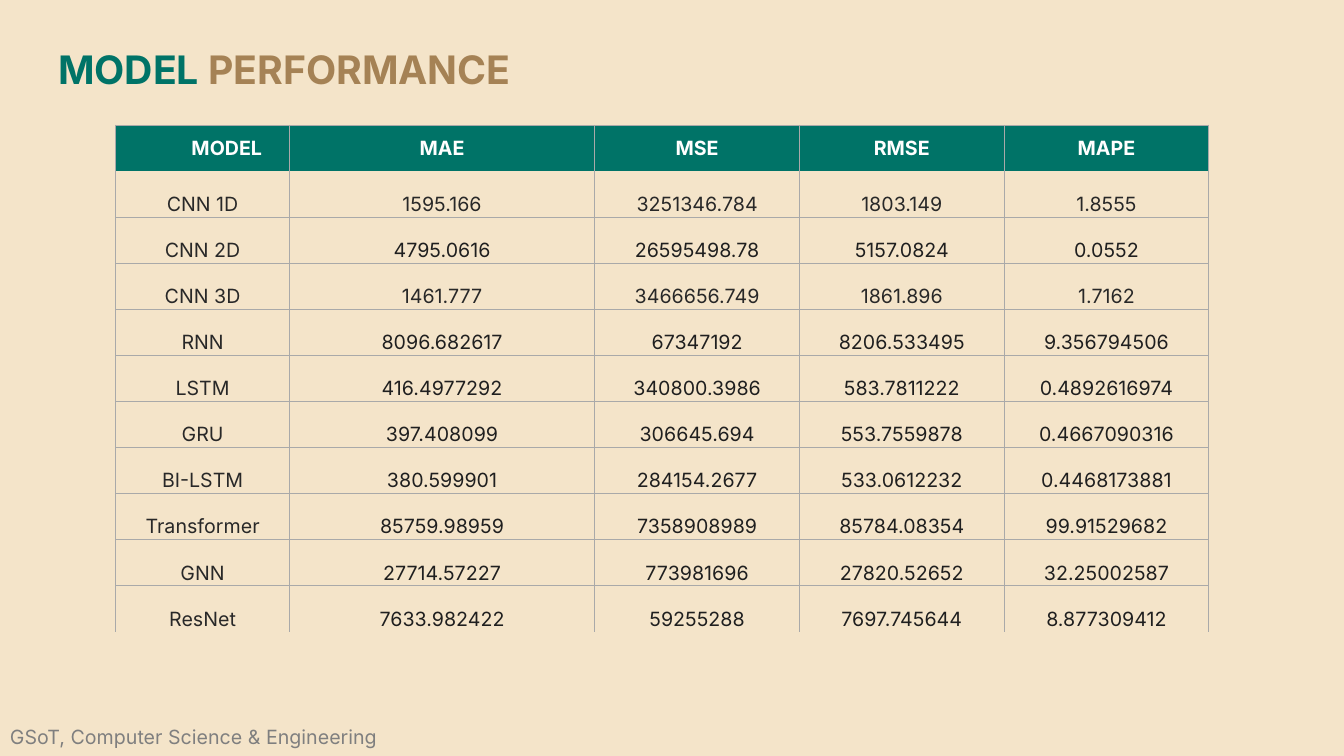
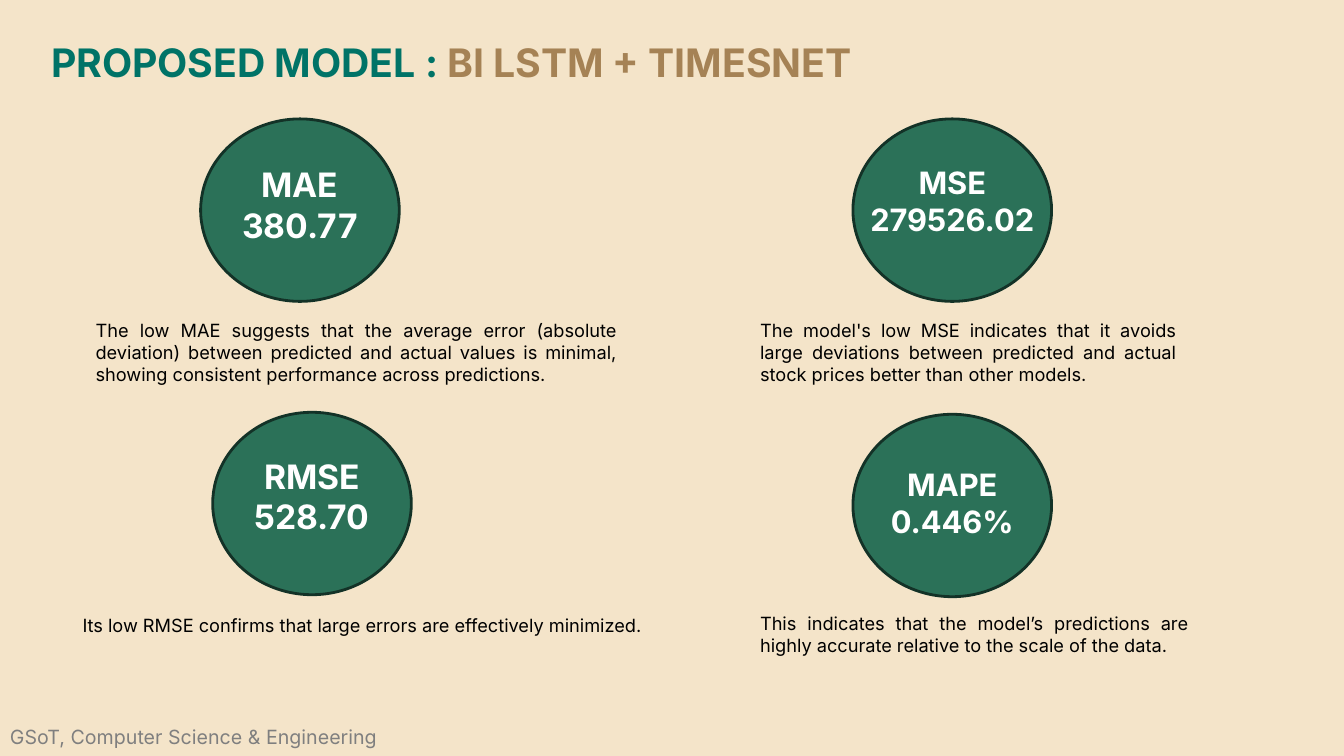
"""Builds two slides: a table of model scores and the proposed model's four metrics."""
from lxml.etree import SubElement
from pptx import Presentation
from pptx.dml.color import RGBColor
from pptx.enum.shapes import MSO_SHAPE
from pptx.enum.text import MSO_ANCHOR, MSO_AUTO_SIZE, PP_ALIGN
from pptx.oxml.ns import qn
from pptx.util import Inches, Pt

FONT = "Inter"
COLORS = {
    "paper": "F4E4C9", "green": "007367", "tan": "A58255", "white": "FFFFFF",
    "ink": "282828", "deep": "1F1F1F", "black": "000000", "gray": "7F7F7F",
    "grid": "A9A9A9", "disc": "2B7158", "rim": "133227",
}
STYLES = {
    "title": {"size": Pt(28), "bold": True},
    "footer": {"size": Pt(14), "bold": False},
    "header": {"size": Pt(14), "bold": True},
    "cell": {"size": Pt(14), "bold": False},
    "large": {"size": Pt(24), "bold": True},
    "medium": {"size": Pt(22), "bold": True},
    "note": {"size": Pt(13), "bold": False},
}
FOOTER = "GSoT, Computer Science & Engineering"

HEADER = ("MODEL", "MAE", "MSE", "RMSE", "MAPE")
SCORES = [
    ("CNN 1D", "1595.166", "3251346.784", "1803.149", "1.8555"),
    ("CNN 2D", "4795.0616", "26595498.78", "5157.0824", "0.0552"),
    ("CNN 3D", "1461.777", "3466656.749", "1861.896", "1.7162"),
    ("RNN", "8096.682617", "67347192", "8206.533495", "9.356794506"),
    ("LSTM", "416.4977292", "340800.3986", "583.7811222", "0.4892616974"),
    ("GRU", "397.408099", "306645.694", "553.7559878", "0.4667090316"),
    ("BI-LSTM", "380.599901", "284154.2677", "533.0612232", "0.4468173881"),
    ("Transformer", "85759.98959", "7358908989", "85784.08354", "99.91529682"),
    ("GNN", "27714.57227", "773981696", "27820.52652", "32.25002587"),
    ("ResNet", "7633.982422", "59255288", "7697.745644", "8.877309412"),
]
INK_ROWS = ("CNN 1D", "CNN 3D")
TABLE_BOX = (1.15, 1.24, 10.83, 5.03)
COL_WIDTHS = (1.72, 3.03, 2.03, 2.03, 2.03)
HEADER_INSETS = (0.12, 0.06, 0.12, 0.06)
MODEL_INSETS = (0.48, 0, 0, 0)
CELL_INSETS = (0.02, 0.01, 0.02, 0.01)

DISC = (1.97, 1.81)
METRICS = [
    {"label": ("MAE", "380.77"), "style": "large", "disc": (1.99, 1.18),
     "label_box": (2.19, 1.58, 1.57, 0.91), "note_box": (0.85, 3.12, 5.36, 0.98),
     "align": PP_ALIGN.JUSTIFY,
     "note": "The low MAE suggests that the average error (absolute deviation) between "
             "predicted and actual values is minimal, showing consistent performance "
             "across predictions."},
    {"label": ("MSE", "279526.02"), "style": "medium", "disc": (8.46, 1.18),
     "label_box": (8.46, 1.58, 1.97, 0.84), "note_box": (7.44, 3.12, 4.32, 0.76),
     "align": PP_ALIGN.JUSTIFY,
     "note": "The model's low MSE indicates that it avoids large deviations between "
             "predicted and actual stock prices better than other models."},
    {"label": ("RMSE", "528.70"), "style": "large", "disc": (2.11, 4.09),
     "label_box": (2.31, 4.47, 1.57, 0.91), "note_box": (0.72, 6.04, 5.95, 0.32),
     "align": PP_ALIGN.LEFT,
     "note": "Its low RMSE confirms that large errors are effectively minimized."},
    {"label": ("MAPE", "0.446%"), "style": "medium", "disc": (8.46, 4.11),
     "label_box": (8.46, 4.57, 1.97, 0.84), "note_box": (7.44, 6.03, 4.44, 0.54),
     "align": PP_ALIGN.JUSTIFY,
     "note": "This indicates that the model’s predictions are highly accurate relative "
             "to the scale of the data."},
]


def rgb(name):
    """Return a palette colour."""
    return RGBColor.from_string(COLORS[name])


def add_run(p, text, style, color):
    """Add a styled run to a paragraph."""
    r = p.add_run()
    r.text = text
    r.font.name = FONT
    r.font.color.rgb = rgb(color)
    for key, value in STYLES[style].items():
        setattr(r.font, key, value)


def add_text(s, box, lines, style, align=PP_ALIGN.LEFT, spacing=None, grow=True):
    """Add a text box; each line is a list of (text, colour) runs."""
    tf = s.shapes.add_textbox(*map(Inches, box)).text_frame
    tf.word_wrap = True
    tf.auto_size = MSO_AUTO_SIZE.SHAPE_TO_FIT_TEXT if grow else MSO_AUTO_SIZE.NONE
    for i, runs in enumerate(lines):
        p = tf.add_paragraph() if i else tf.paragraphs[0]
        p.alignment = align
        p.line_spacing = spacing
        for text, color in runs:
            add_run(p, text, style, color)


def add_slide(prs, title, box, **options):
    """Add a slide with the shared background, two-colour title and footer."""
    s = prs.slides.add_slide(prs.slide_layouts[6])
    s.background.fill.solid()
    s.background.fill.fore_color.rgb = rgb("paper")
    add_text(s, box, [list(zip(title, ("green", "tan")))], "title", **options)
    add_text(s, (0, 7.14, 5.24, 0.34), [[(FOOTER, "gray")]], "footer")
    return s


def set_borders(cell, drawn):
    """Draw the named cell sides and clear the others."""
    tc_pr = cell._tc.get_or_add_tcPr()
    for side in "LRTB":
        ln = SubElement(tc_pr, qn(f"a:ln{side}"), w=str(Pt(0.75)))
        if side in drawn:
            fill = SubElement(ln, qn("a:solidFill"))
            SubElement(fill, qn("a:srgbClr"), val=COLORS["grid"])
        else:
            SubElement(ln, qn("a:noFill"))


def fill_cell(cell, text, style, color, fill, insets, anchor, borders):
    """Write and format one table cell."""
    set_borders(cell, borders)
    cell.fill.solid()
    cell.fill.fore_color.rgb = rgb(fill)
    cell.vertical_anchor = anchor
    for side, inset in zip(("left", "top", "right", "bottom"), insets):
        setattr(cell, f"margin_{side}", Inches(inset))
    p = cell.text_frame.paragraphs[0]
    p.alignment = PP_ALIGN.CENTER
    add_run(p, text, style, color)


def add_scores(s):
    """Add the table of model scores."""
    rows = [HEADER, *SCORES]
    table = s.shapes.add_table(len(rows), len(HEADER), *map(Inches, TABLE_BOX)).table
    table.horz_banding = False
    for column, width in zip(table.columns, COL_WIDTHS):
        column.width = Inches(width)
    borders = {0: "LRT", 1: "LRB", len(SCORES): "LRT"}
    for i, row in enumerate(rows):
        table.rows[i].height = Inches(TABLE_BOX[3] / len(rows))
        for j, text in enumerate(row):
            if i == 0:
                insets = HEADER_INSETS if j else MODEL_INSETS
                look = ("header", "white", "green", insets, MSO_ANCHOR.MIDDLE)
            else:
                color = "ink" if j == 0 or row[0] in INK_ROWS else "deep"
                look = ("cell", color, "paper", CELL_INSETS, MSO_ANCHOR.BOTTOM)
            fill_cell(table.cell(i, j), text, *look, borders.get(i, "LRTB"))


def add_metric(s, metric):
    """Add a disc with its metric and the note below it."""
    sp = s.shapes.add_shape(MSO_SHAPE.OVAL, *map(Inches, metric["disc"] + DISC))
    sp.shadow.inherit = False
    sp.fill.solid()
    sp.fill.fore_color.rgb = rgb("disc")
    sp.line.color.rgb = rgb("rim")
    sp.line.width = Pt(2)
    label = [[(text, "white")] for text in metric["label"]]
    add_text(s, metric["label_box"], label, metric["style"], PP_ALIGN.CENTER)
    add_text(s, metric["note_box"], [[(metric["note"], "black")]], "note", metric["align"])


def main():
    """Build and save the presentation."""
    prs = Presentation()
    prs.slide_width, prs.slide_height = Inches(13.33), Inches(7.5)
    s = add_slide(prs, ("MODEL ", "PERFORMANCE"), (0.48, 0.45, 10.95, 0.43),
                  spacing=0.9, grow=False)
    add_scores(s)
    s = add_slide(prs, ("PROPOSED MODEL : ", "BI LSTM + TIMESNET"), (0.41, 0.33, 10.87, 0.57))
    for metric in METRICS:
        add_metric(s, metric)
    prs.save("out.pptx")


if __name__ == "__main__":
    main()
